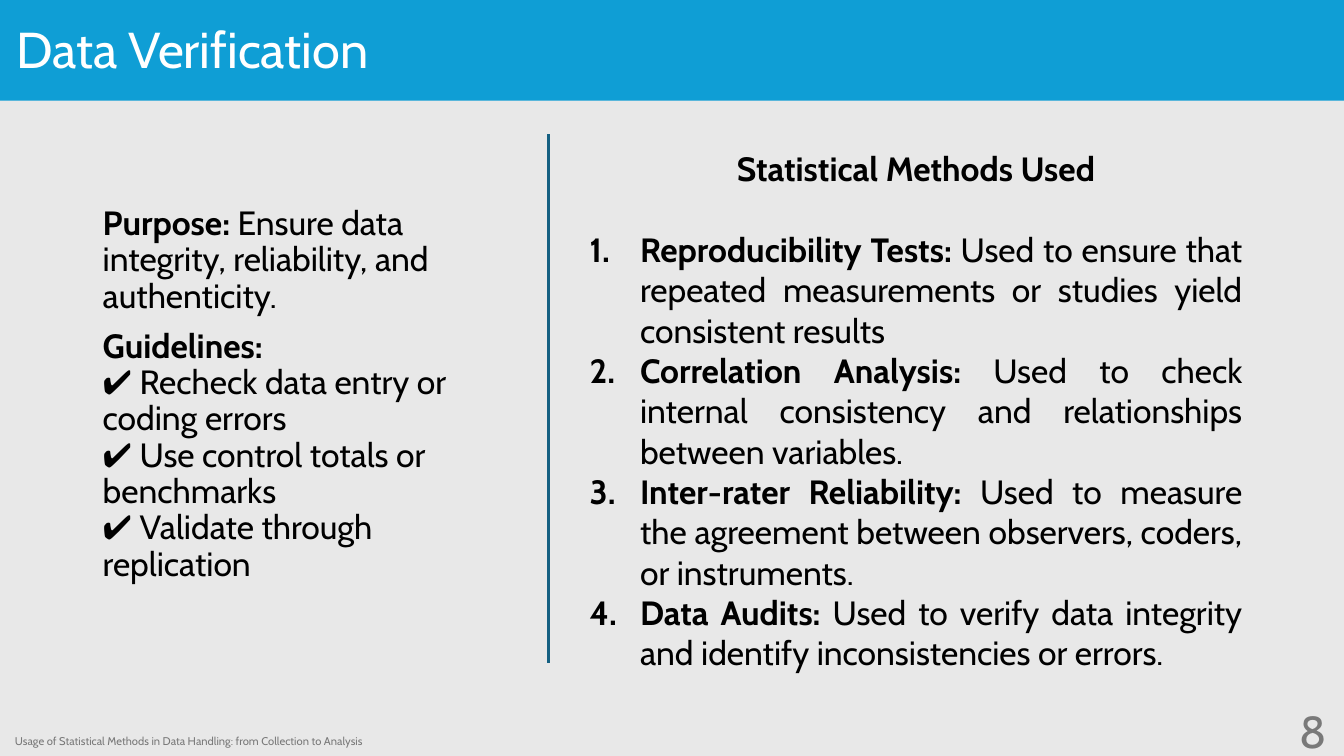
"""Build the Data Verification slide."""
from lxml import etree
from pptx import Presentation
from pptx.dml.color import RGBColor
from pptx.enum import shapes, text
from pptx.oxml.ns import qn
from pptx.util import Inches, Pt

BLACK = RGBColor(0x00, 0x00, 0x00)
WHITE = RGBColor(0xFF, 0xFF, 0xFF)
GRAY = RGBColor(0x79, 0x79, 0x79)
BACKGROUND = RGBColor(0xE8, 0xE8, 0xE8)
BLUE = RGBColor(0x0F, 0x9E, 0xD5)
NAVY = RGBColor(0x15, 0x60, 0x82)

GUIDELINES = [
    ("Purpose:", [" Ensure data integrity, reliability, and authenticity."]),
    ("Guidelines:", ["", "✔ Recheck data entry or coding errors",
                     "✔ Use control totals or benchmarks",
                     "✔ Validate through replication"]),
]
METHODS = [
    ("Reproducibility Tests: ",
     "Used to ensure that repeated measurements or studies yield consistent results"),
    ("Correlation Analysis: ",
     "Used to check internal consistency and relationships between variables."),
    ("Inter-rater Reliability: ",
     "Used to measure the agreement between observers, coders, or instruments."),
    ("Data Audits: ",
     "Used to verify data integrity and identify inconsistencies or errors."),
]


def add_text_box(left, top, width, height, anchor):
    box = s.shapes.add_textbox(Inches(left), Inches(top), Inches(width), Inches(height))
    tf = box.text_frame
    tf.word_wrap = True
    tf.vertical_anchor = anchor
    return tf


def add_paragraph(tf, label, lines, size=24, color=BLACK):
    p = tf.paragraphs[0] if not tf.text else tf.add_paragraph()
    p.font.name, p.font.size, p.font.color.rgb = "Cabin", Pt(size), color
    if label:
        r = p.add_run()
        r.text = label
        r.font.bold = True
    for i, line in enumerate(lines):
        if i:
            p.add_line_break()
        if line:
            p.add_run().text = line
    return p


prs = Presentation()
prs.slide_width, prs.slide_height = Inches(13.33), Inches(7.5)
s = prs.slides.add_slide(prs.slide_layouts[5])
s.background.fill.solid()
s.background.fill.fore_color.rgb = BACKGROUND

title = s.shapes.title
title.left, title.top = Inches(0.06), Inches(0.12)
title.width, title.height = Inches(11), Inches(0.8)
tf = title.text_frame
tf.auto_size = text.MSO_AUTO_SIZE.NONE
tf.vertical_anchor = text.MSO_ANCHOR.MIDDLE
p = add_paragraph(tf, "", ["Data Verification"], 36, WHITE)
p.alignment = text.PP_ALIGN.LEFT
p.line_spacing = 0.9

banner = s.shapes.add_shape(shapes.MSO_SHAPE.RECTANGLE, 0, 0, prs.slide_width, Inches(1))
banner.shadow.inherit = False
banner.fill.solid()
banner.fill.fore_color.rgb = BLUE
banner.line.fill.background()
title.element.addprevious(banner.element)

tf = add_text_box(0.92, 2, 3.98, 4.76, text.MSO_ANCHOR.TOP)
for label, lines in GUIDELINES:
    p = add_paragraph(tf, label, lines)
    p.line_spacing = 0.9
    p.space_before = Pt(10)

tf = add_text_box(5.75, 1.42, 6.67, 5.35, text.MSO_ANCHOR.TOP)
p = add_paragraph(tf, "Statistical Methods Used", [])
p.alignment = text.PP_ALIGN.CENTER
p.space_after = Pt(29)
for label, description in METHODS:
    p = add_paragraph(tf, label, [description])
    p.alignment = text.PP_ALIGN.JUSTIFY
    pPr = p._p.get_or_add_pPr()
    pPr.set("marL", str(Inches(0.5)))
    pPr.set("indent", str(Inches(-0.5)))
    number = etree.Element(qn("a:buAutoNum"), type="arabicPeriod")
    pPr.find(qn("a:defRPr")).addprevious(number)

divider = s.shapes.add_connector(shapes.MSO_CONNECTOR.STRAIGHT,
                                 Inches(5.44), Inches(1.33), Inches(5.44), Inches(6.58))
divider.line.color.rgb = NAVY
divider.line.width = Pt(1.5)
etree.SubElement(divider.element.spPr, qn("a:effectLst"))

tf = add_text_box(0.05, 7.23, 8, 0.25, text.MSO_ANCHOR.MIDDLE)
add_paragraph(tf, "", ["Usage of Statistical Methods in Data Handling: "
                       "from Collection to Analysis"], 8, GRAY)

tf = add_text_box(10.26, 7.05, 3, 0.4, text.MSO_ANCHOR.MIDDLE)
p = add_paragraph(tf, "", ["8"], 32, GRAY)
p.alignment = text.PP_ALIGN.RIGHT

prs.save("out.pptx")
